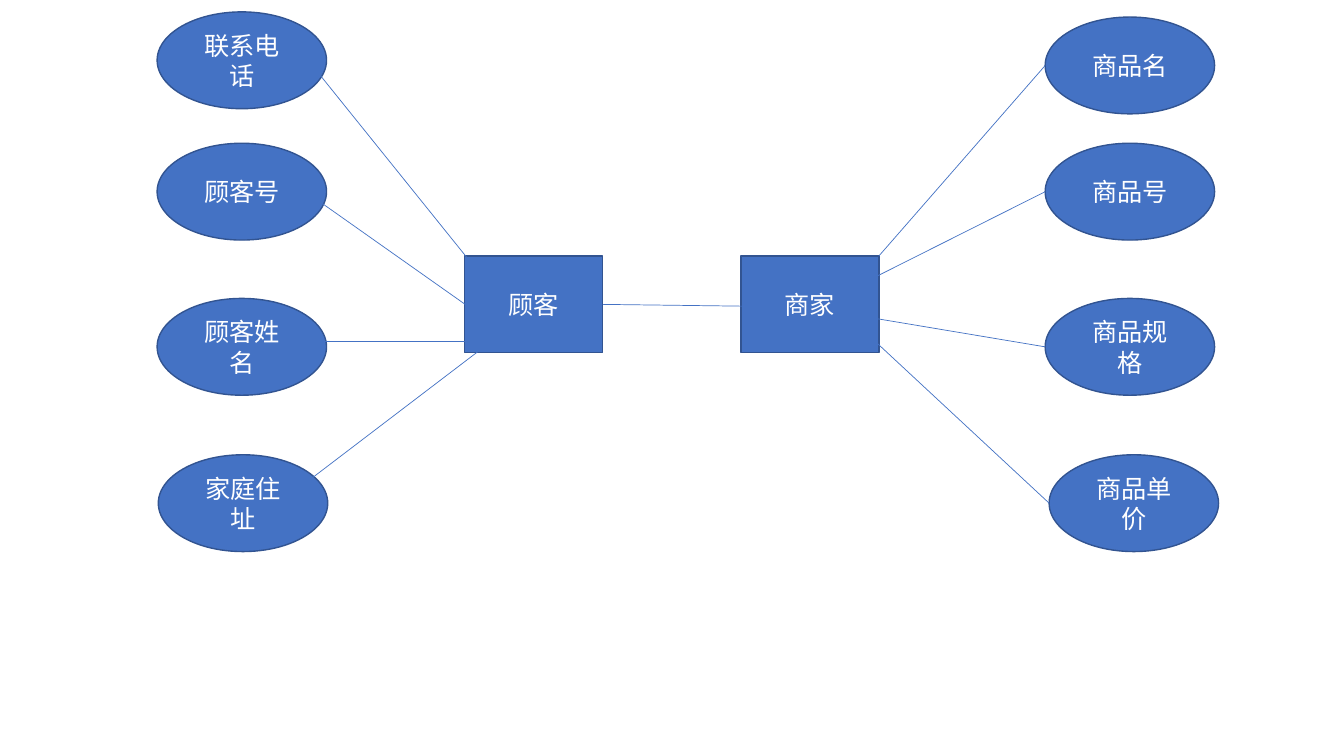
"""Draw the customer and merchant entity diagram."""
from typing import NamedTuple

from pptx import Presentation
from pptx.dml.color import RGBColor
from pptx.enum import shapes, text
from pptx.oxml import ns, xmlchemy as xml
from pptx.util import Cm, Pt

BLUE = RGBColor(0x44, 0x72, 0xC4)
NAVY = RGBColor(0x32, 0x54, 0x91)
WHITE = RGBColor(0xFF, 0xFF, 0xFF)
FONT = "Noto Sans CJK SC"
HIGH = 2.44
OVAL = shapes.MSO_SHAPE.OVAL
RECT = shapes.MSO_SHAPE.RECTANGLE


class Node(NamedTuple):
    label: str
    left: float
    top: float
    wide: float = 4.27
    kind: shapes.MSO_SHAPE = OVAL


class Link(NamedTuple):
    x1: float
    y1: float
    x2: float
    y2: float


BUYER = [
    Node("联系电话", 3.96, 0.3),
    Node("顾客号", 3.96, 3.61),
    Node("顾客姓名", 3.96, 7.52),
    Node("家庭住址", 3.99, 11.46),
]
GOODS = [
    Node("商品名", 26.34, 0.43),
    Node("商品号", 26.34, 3.61),
    Node("商品规格", 26.34, 7.52),
    Node("商品单价", 26.44, 11.46),
]
HUBS = [
    Node("顾客", 11.71, 6.45, 3.48, RECT),
    Node("商家", 18.67, 6.45, 3.48, RECT),
]
ENDS = [(22.15, 6.45), (21.74, 7.14), (21.62, 7.95), (21.87, 8.43)]
LINKS = [Link(n.left, n.top + HIGH / 2, *end) for n, end in zip(GOODS, ENDS)] + [
    Link(7.75, 1.5, 12.29, 7.14),
    Link(7.7, 4.83, 12.12, 7.95),
    Link(7.65, 8.61, 12.01, 8.61),
    Link(7.7, 12.17, 12.7, 8.36),
    Link(15.19, 7.67, 19.15, 7.72),
]


def write(frame, words: str, *, size: float = 18, color: RGBColor = WHITE,
          font: str = FONT, align=text.PP_ALIGN.CENTER) -> None:
    """Put formatted words into a text frame."""
    frame.word_wrap = True
    frame.vertical_anchor = text.MSO_ANCHOR.MIDDLE
    para = frame.paragraphs[0]
    para.alignment = align
    run = para.add_run()
    run.text = words
    run.font.size = Pt(size)
    run.font.name = font
    run.font.color.rgb = color
    east = xml.OxmlElement("a:ea")
    east.set("typeface", font)
    run.font._element.find(ns.qn("a:latin")).addnext(east)


def draw(slide, node: Node) -> None:
    """Draw one entity or attribute."""
    shape = slide.shapes.add_shape(
        node.kind, Cm(node.left), Cm(node.top), Cm(node.wide), Cm(HIGH))
    shape.shadow.inherit = False
    shape.fill.solid()
    shape.fill.fore_color.rgb = BLUE
    shape.line.color.rgb = NAVY
    shape.line.width = Pt(1)
    write(shape.text_frame, node.label)


def join(slide, link: Link) -> None:
    """Draw one connecting line."""
    line = slide.shapes.add_connector(
        shapes.MSO_CONNECTOR.STRAIGHT, *(Cm(v) for v in link))
    line.line.color.rgb = BLUE
    line.line.width = Pt(0.5)
    line._element.spPr.append(xml.OxmlElement("a:effectLst"))


def main() -> None:
    """Build and save the slide."""
    deck = Presentation()
    deck.slide_width, deck.slide_height = Cm(33.87), Cm(19.05)
    slide = deck.slides.add_slide(deck.slide_layouts[6])
    for node in BUYER + GOODS + HUBS:
        draw(slide, node)
    for link in LINKS:
        join(slide, link)
    deck.save("out.pptx")


main()
